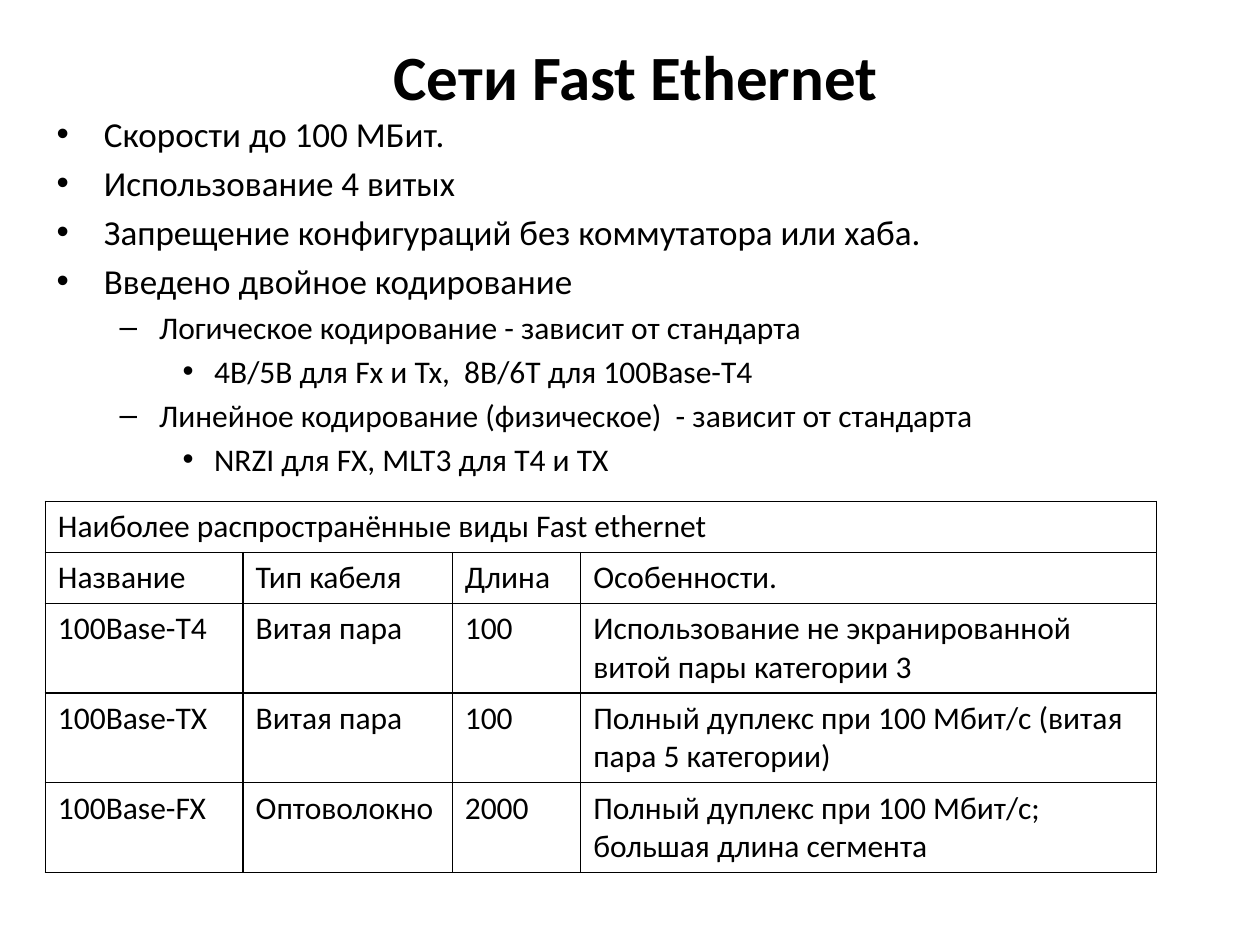
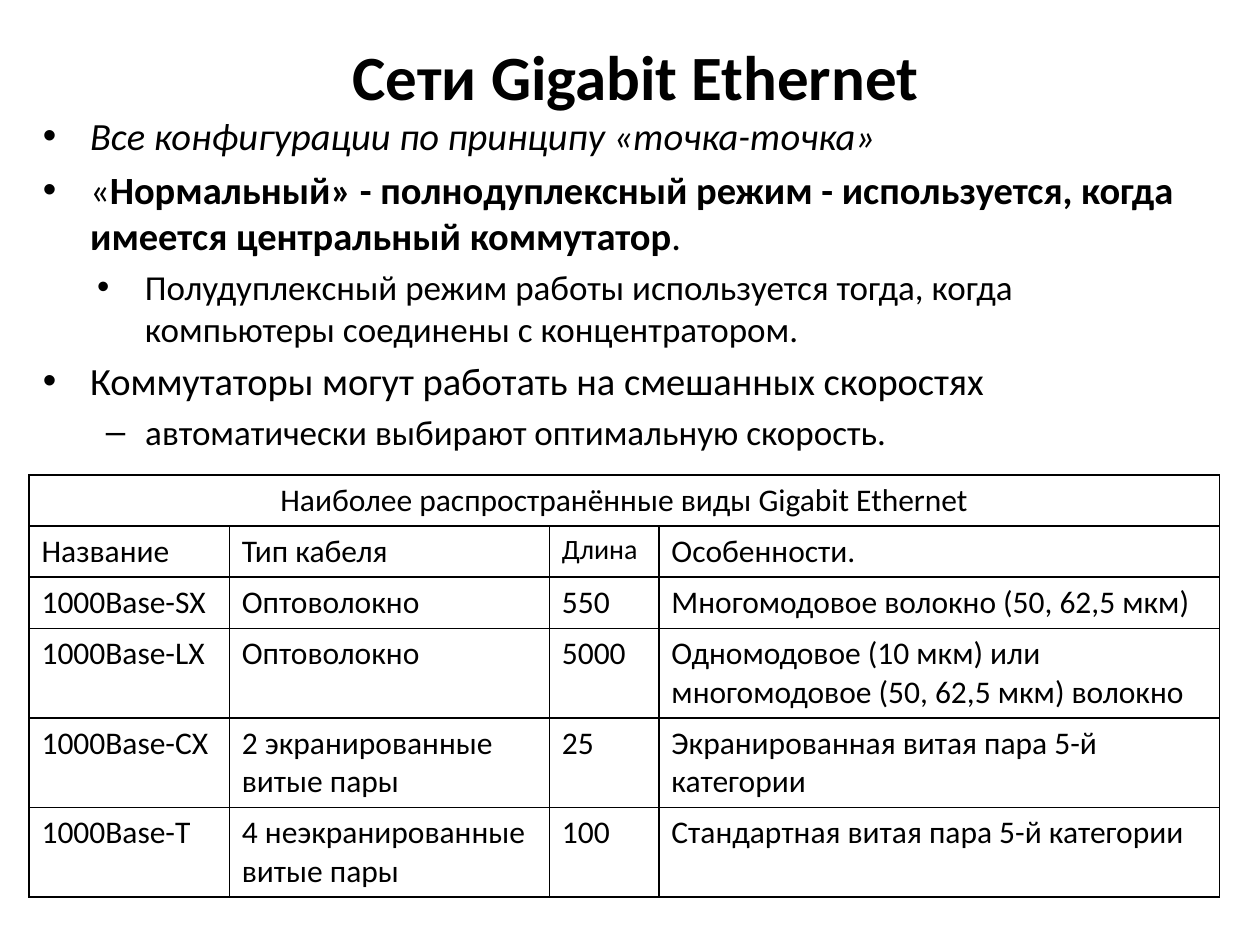
from lxml.etree import SubElement
from pptx import Presentation
from pptx.dml.color import RGBColor
from pptx.enum.text import MSO_ANCHOR, MSO_AUTO_SIZE, PP_ALIGN
from pptx.oxml.ns import qn
from pptx.util import Inches, Pt

COLORS = {"text": "000000", "border": "000000", "background": "FFFFFF"}
FONT = "Calibri"
GRID_STEP = 0.1
TITLE_BOX = (5.9, 2.1, 89.1, 7.7)
SINGLE_ROW, DOUBLE_ROW = 4.05, 7.1
TABLE_SIZE = 18
BORDER_WIDTH = Pt(1)
HEADINGS = ["Название", "Тип кабеля", "Длина", "Особенности."]

FAST_POINTS = [
    (0, 20, "Скорости до 100 МБит."),
    (0, 20, "Использование 4 витых"),
    (0, 20, "Запрещение конфигураций без коммутатора или хаба."),
    (0, 20, "Введено двойное кодирование"),
    (1, 18, "Логическое кодирование - зависит от стандарта"),
    (2, 18, "4B/5B для Fx и Tx,  8B/6T для 100Base-T4"),
    (1, 18, "Линейное кодирование (физическое)  - зависит от стандарта"),
    (2, 18, "NRZI для FX, MLT3 для T4 и TX"),
]
FAST_ROWS = [
    ["100Base-T4", "Витая пара", "100", "Использование не экранированной витой пары категории 3"],
    ["100Base-TX", "Витая пара", "100", "Полный дуплекс при 100 Мбит/с (витая пара 5 категории)"],
    ["100Base-FX", "Оптоволокно", "2000", "Полный дуплекс при 100 Мбит/с; большая длина сегмента"],
]
GIGABIT_POINTS = [
    (0, 22, "Все конфигурации по принципу «точка-точка»"),
    (0, 22, "«"),
    (2, 20, "Полудуплексный режим работы используется тогда, когда компьютеры соединены с концентратором."),
    (0, 22, "Коммутаторы могут работать на смешанных скоростях"),
    (1, 20, "автоматически выбирают оптимальную скорость."),
]
FULL_DUPLEX = "Нормальный» - полнодуплексный режим - используется, когда имеется центральный коммутатор"
GIGABIT_ROWS = [
    ["1000Base-SX", "Оптоволокно", "550", "Многомодовое волокно (50, 62,5 мкм)"],
    ["1000Base-LX", "Оптоволокно", "5000", "Одномодовое (10 мкм) или\nмногомодовое (50, 62,5 мкм) волокно"],
    ["1000Base-CX", "2 экранированные\nвитые пары", "25", "Экранированная витая пара 5-й категории"],
    ["1000Base-T", "4 неэкранированные\nвитые пары", "100", "Стандартная витая пара 5-й категории"],
]


def grid(steps):
    return Inches(steps * GRID_STEP)


def place(shape, box):
    shape.left, shape.top, shape.width, shape.height = map(grid, box)


def format_run(run, size, bold=False, italic=False):
    run.font.name = FONT
    run.font.size = Pt(size)
    run.font.bold = bold
    run.font.italic = italic
    run.font.color.rgb = RGBColor.from_string(COLORS["text"])


def add_titled_slide(presentation, title):
    slide = presentation.slides.add_slide(presentation.slide_layouts[1])
    slide.background.fill.solid()
    slide.background.fill.fore_color.rgb = RGBColor.from_string(COLORS["background"])
    shape = slide.shapes.title
    place(shape, TITLE_BOX)
    text_frame = shape.text_frame
    text_frame.text = title
    text_frame.auto_size = MSO_AUTO_SIZE.NONE
    text_frame.vertical_anchor = MSO_ANCHOR.MIDDLE
    text_frame.paragraphs[0].alignment = PP_ALIGN.CENTER
    format_run(text_frame.paragraphs[0].runs[0], 36, bold=True)
    return slide


def fill_body(slide, box, points):
    body = slide.placeholders[1]
    place(body, box)
    text_frame = body.text_frame
    text_frame.text = "\n".join(text for _, _, text in points)
    text_frame.auto_size = MSO_AUTO_SIZE.NONE
    text_frame.paragraphs[0].space_before = Pt(0)
    for paragraph, (level, size, _) in zip(text_frame.paragraphs, points):
        paragraph.level = level
        format_run(paragraph.runs[0], size)
    return text_frame.paragraphs


def set_indent(paragraph, margin, first_line):
    properties = paragraph._p.get_or_add_pPr()
    properties.set("marL", str(grid(margin)))
    properties.set("indent", str(grid(first_line)))


def outline_cell(cell):
    properties = cell._tc.get_or_add_tcPr()
    for side in ("a:lnL", "a:lnR", "a:lnT", "a:lnB"):
        line = SubElement(properties, qn(side), w=str(BORDER_WIDTH))
        fill = SubElement(line, qn("a:solidFill"))
        SubElement(fill, qn("a:srgbClr"), val=COLORS["border"])
    cell.fill.background()


def add_network_table(slide, left, top, columns, heights, caption, rows):
    contents = [[caption, "", "", ""], HEADINGS, *rows]
    frame = slide.shapes.add_table(
        len(contents), len(columns), grid(left), grid(top), grid(sum(columns)), grid(sum(heights))
    )
    table = frame.table
    table.first_row = table.horz_banding = False
    for column, width in zip(table.columns, columns):
        column.width = grid(width)
    for row, height, texts in zip(table.rows, heights, contents):
        row.height = grid(height)
        for cell, text in zip(row.cells, texts):
            outline_cell(cell)
            cell.text_frame.text = text
            for paragraph in cell.text_frame.paragraphs:
                for run in paragraph.runs:
                    format_run(run, TABLE_SIZE)
    table.cell(0, 0).merge(table.cell(0, len(columns) - 1))
    return table


def add_fast_ethernet(presentation):
    slide = add_titled_slide(presentation, "Сети Fast Ethernet")
    fill_body(slide, (3.5, 8.4, 94.5, 60.6), FAST_POINTS)
    add_network_table(
        slide, 3.6, 39.8, [15.7, 16.6, 10.2, 45.7],
        [SINGLE_ROW] * 2 + [DOUBLE_ROW] * 3,
        "Наиболее распространённые виды Fast ethernet", FAST_ROWS,
    )


def add_gigabit_ethernet(presentation):
    slide = add_titled_slide(presentation, "Сети Gigabit Ethernet")
    point_to_point, full_duplex, half_duplex, *_ = fill_body(
        slide, (2.4, 8.4, 94.5, 62.2), GIGABIT_POINTS
    )
    point_to_point.runs[0].font.italic = True
    for text, bold in ((FULL_DUPLEX, True), (".", False)):
        run = full_duplex.add_run()
        run.text = text
        format_run(run, 22, bold=bold)
    set_indent(half_duplex, 8.1, -3.8)
    table = add_network_table(
        slide, 2.3, 37.7, [15.9, 25.4, 8.7, 44.5],
        [SINGLE_ROW] * 3 + [DOUBLE_ROW] * 3,
        "Наиболее распространённые виды Gigabit Ethernet", GIGABIT_ROWS,
    )
    table.cell(0, 0).text_frame.paragraphs[0].alignment = PP_ALIGN.CENTER
    table.cell(1, 2).text_frame.paragraphs[0].runs[0].font.size = Pt(16)


def main():
    presentation = Presentation()
    presentation.slide_width, presentation.slide_height = Inches(10), Inches(7.5)
    add_fast_ethernet(presentation)
    add_gigabit_ethernet(presentation)
    presentation.save("out.pptx")


if __name__ == "__main__":
    main()
